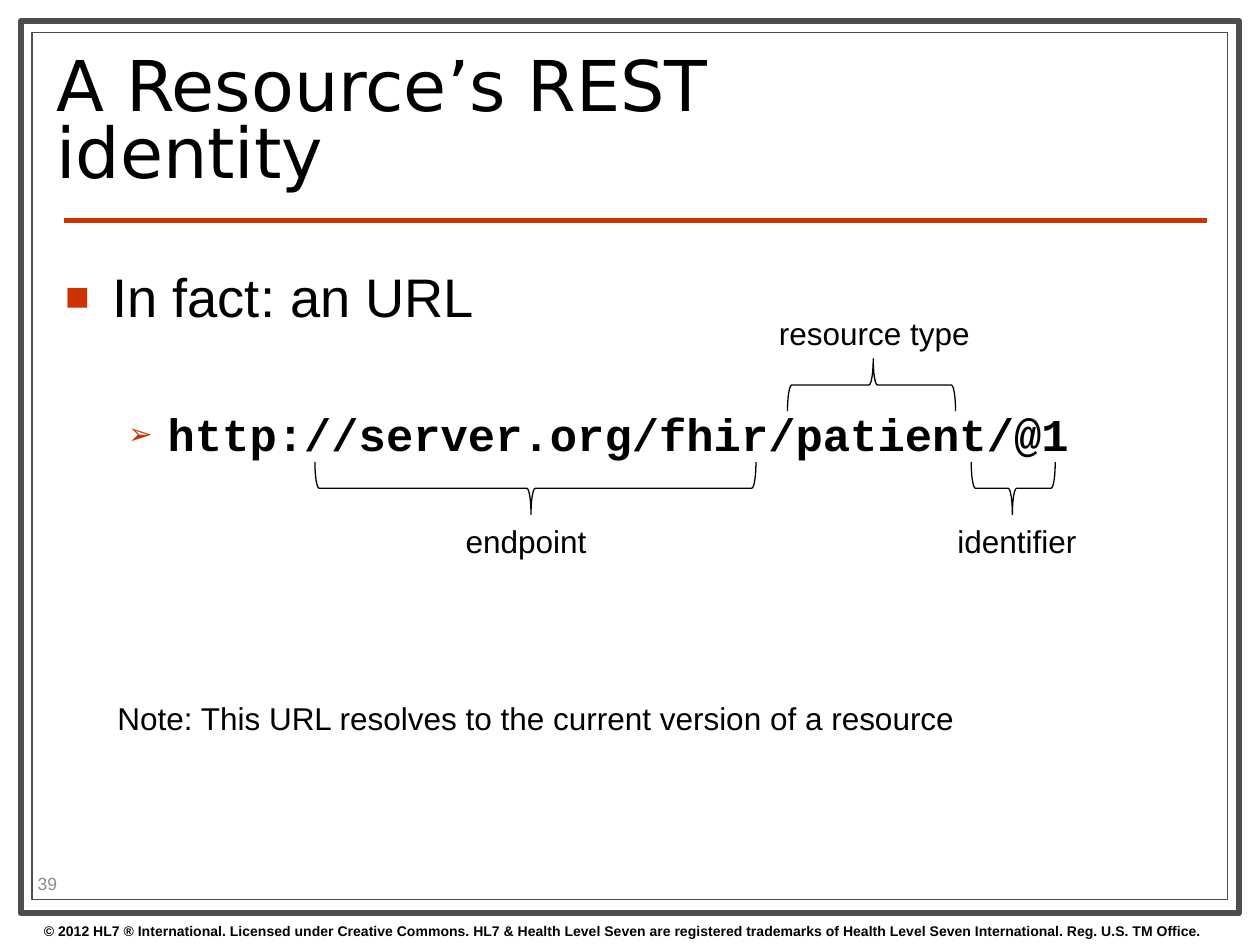
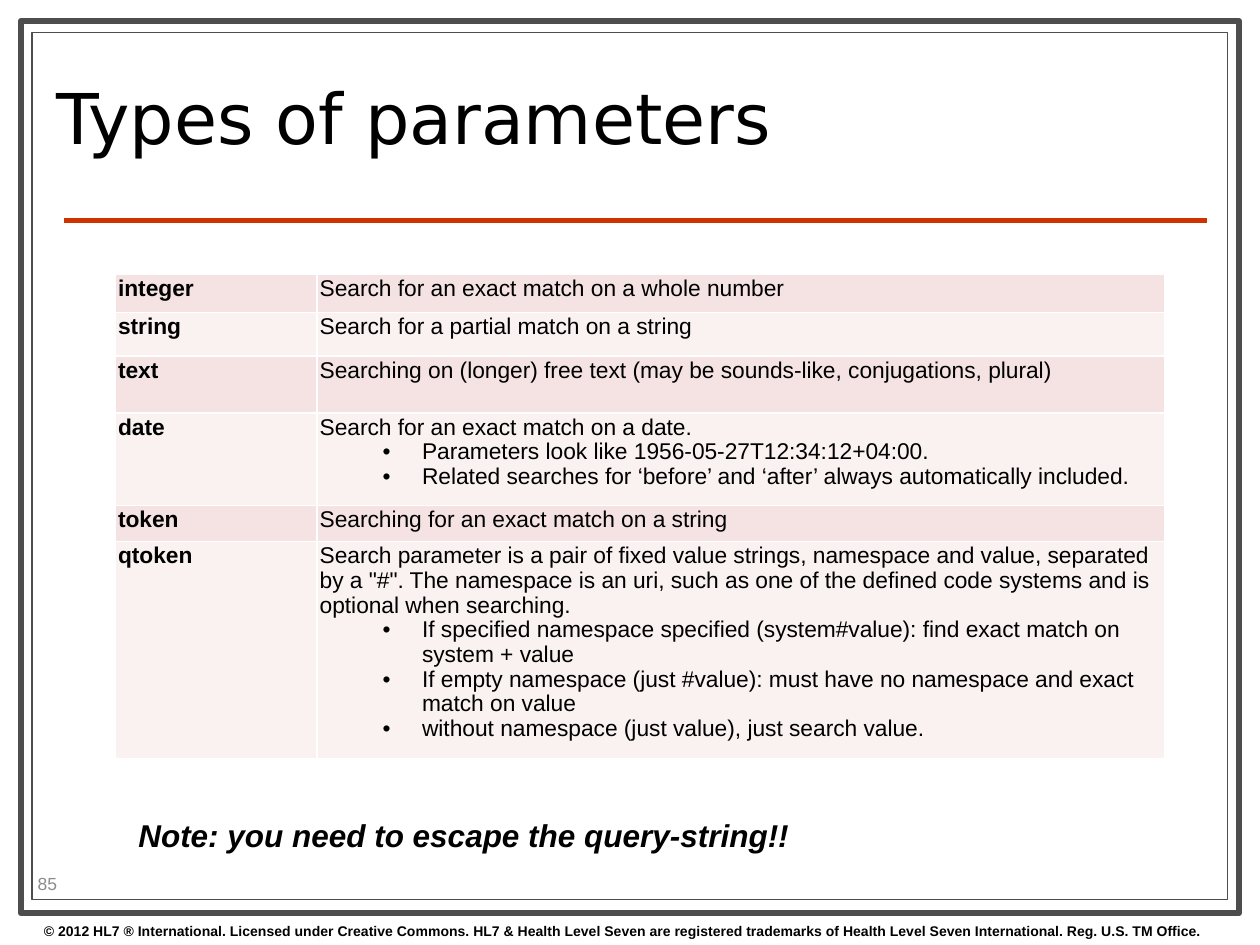
from lxml import etree
from pptx import Presentation as Deck
from pptx.dml.color import RGBColor as Rgb
from pptx.enum.shapes import MSO_CONNECTOR as Link, MSO_SHAPE as Shape
from pptx.enum.text import MSO_ANCHOR as Anchor
from pptx.oxml.ns import qn
from pptx.util import Pt

HUES = {
    "ink": "000000", "paper": "FFFFFF", "frame": "4D4D4D",
    "accent": "CC3300", "number": "8C8C8C",
    "dark": "F4E3E2", "light": "FAF1F1",
}
SANS, HEAD, MONO = "Arial", "DejaVu Sans", "Courier New"
LEGAL = (
    "© 2012 HL7 ® International. Licensed under Creative Commons. "
    "HL7 & Health Level Seven are registered trademarks of "
    "Health Level Seven International. Reg. U.S. TM Office."
)
# Row height, name, meaning, bulleted details
TYPES = [
    (22, "integer", "Search for an exact match on a whole number", []),
    (25, "string", "Search for a partial match on a string", []),
    (32.5, "text", "Searching on (longer) free text "
     "(may be sounds-like, conjugations, plural)", []),
    (53, "date", "Search for an exact match on a date.", [
        "Parameters look like 1956-05-27T12:34:12+04:00.",
        "Related searches for ‘before’ and ‘after’ always "
        "automatically included."]),
    (20.5, "token", "Searching for an exact match on a string", []),
    (74, "qtoken", "Search parameter is a pair of fixed value strings, "
     "namespace and value, separated by a \"#\". The namespace is an uri, "
     "such as one of the defined code systems and is optional when "
     "searching.", [
         "If specified namespace specified (system#value): "
         "find exact match on system + value",
         "If empty namespace (just #value): must have no namespace "
         "and exact match on value",
         "without namespace (just value), just search value."]),
]


def hue(name):
    return Rgb.from_string(HUES[name])


def style(para, size, face=SANS, color="ink", bold=False, slant=False):
    for run in para.runs:
        font = run.font
        font.size, font.name = Pt(size), face
        font.bold, font.italic = bold, slant
        font.color.rgb = hue(color)


def bullet(para, char, left, hang, color="ink", scale=100):
    props = para._p.get_or_add_pPr()
    props.set("marL", str(Pt(left)))
    props.set("indent", str(-Pt(hang)))
    tint = etree.SubElement(props, qn("a:buClr"))
    etree.SubElement(tint, qn("a:srgbClr"), val=HUES[color])
    etree.SubElement(props, qn("a:buSzPct"), val=str(scale * 1000))
    etree.SubElement(props, qn("a:buFont"), typeface=SANS)
    etree.SubElement(props, qn("a:buChar"), char=char)


def label(slide, text, left, top, width, height, size,
          wrap=False, anchor=Anchor.TOP, **look):
    box = slide.shapes.add_textbox(Pt(left), Pt(top), Pt(width), Pt(height))
    frame = box.text_frame
    frame.text = text
    frame.word_wrap, frame.vertical_anchor = wrap, anchor
    style(frame.paragraphs[0], size, **look)
    return frame


def border(slide, left, top, width, height, weight):
    box = slide.shapes.add_shape(
        Shape.RECTANGLE, Pt(left), Pt(top), Pt(width), Pt(height))
    box.shadow.inherit = False
    box.fill.solid()
    box.fill.fore_color.rgb = hue("paper")
    box.line.color.rgb = hue("frame")
    box.line.width = Pt(weight)


def rule(slide, left, right, top):
    line = slide.shapes.add_connector(
        Link.STRAIGHT, Pt(left), Pt(top), Pt(right), Pt(top))
    line.line.color.rgb = hue("accent")
    line.line.width = Pt(3)
    etree.SubElement(line._element.spPr, qn("a:effectLst"))


def brace(slide, mid, level, span, turn):
    """Lay a brace of the given span flat, centred on (mid, level)."""
    depth = 30
    mark = slide.shapes.add_shape(
        Shape.LEFT_BRACE, Pt(mid - depth / 2), Pt(level - span / 2),
        Pt(depth), Pt(span))
    mark.rotation = turn
    mark.adjustments[0], mark.adjustments[1] = 0.08, 0.49
    mark.shadow.inherit = False
    mark.fill.background()
    mark.line.color.rgb = hue("ink")
    mark.line.width = Pt(0.75)


def page(deck, title, number):
    """Add a slide with the shared frame, title, number and footer."""
    slide = deck.slides.add_slide(deck.slide_layouts[6])
    border(slide, 12, 12, 696, 510, 3.5)
    border(slide, 18.25, 18.5, 683.25, 495.5, 0.75)
    rule(slide, 36.5, 689.75, 126)
    label(slide, LEGAL, 18, 523.5, 720, 16.5, 8, wrap=True, bold=True)
    head = label(slide, title, 25.2, 26, 516, 90.5, 40, wrap=True,
                 anchor=Anchor.MIDDLE, face=HEAD)
    head.paragraphs[0].line_spacing = 0.8
    label(slide, number, 14.4, 496, 57, 17.5, 10, wrap=True,
          anchor=Anchor.MIDDLE, color="number")
    return slide


def fill(cell, lines, shade, bold=False):
    """Write a lead line and its bulleted details into a cell."""
    cell.margin_left = cell.margin_right = Pt(1.5)
    cell.margin_top = cell.margin_bottom = Pt(1.5)
    cell.fill.solid()
    cell.fill.fore_color.rgb = hue(shade)
    cell.text_frame.text = "\n".join(lines)
    for place, para in enumerate(cell.text_frame.paragraphs):
        if place:
            bullet(para, "•", 58.5, 22.5)
        para.line_spacing = 0.97
        style(para, 13, bold=bold)


def grid(slide, left, top, widths):
    high = sum(row[0] for row in TYPES)
    table = slide.shapes.add_table(
        len(TYPES), len(widths), Pt(left), Pt(top),
        Pt(sum(widths)), Pt(high)).table
    table.first_row = table.horz_banding = False
    for col, width in zip(table.columns, widths):
        col.width = Pt(width)
    for place, (height, name, lead, details) in enumerate(TYPES):
        shade = "light" if place % 2 else "dark"
        table.rows[place].height = Pt(height)
        fill(table.cell(place, 0), [name], shade, bold=True)
        fill(table.cell(place, 1), [lead, *details], shade)


def main():
    deck = Deck()
    deck.slide_width, deck.slide_height = Pt(720), Pt(540)

    # Parts of a resource URL
    slide = page(deck, "A Resource’s REST identity", "39")
    body = label(slide, "In fact: an URL", 30.2, 147, 660, 350, 31, wrap=True)
    bullet(body.paragraphs[0], "■", 27, 27, "accent", 75)
    link = body.add_paragraph()
    link.text = "http://server.org/fhir/patient/@1"
    link.level = 1
    bullet(link, "➢", 58.5, 22.5, "accent", 65)
    link.space_before = Pt(44.5)
    style(link, 26, face=MONO, bold=True)
    for mid, level, span, turn in [
            (306, 279, 252, 270), (498, 220, 96, 90), (579, 279, 48, 270)]:
        brace(slide, mid, level, span, turn)
    for text, left, top, width in [
            ("endpoint", 259, 295, 84), ("resource type", 438, 176, 124.5),
            ("identifier", 540, 295, 83.5),
            ("Note: This URL resolves to the current version of a resource",
             60, 396, 497.5)]:
        label(slide, text, left, top, width, 29, 18)

    # Search parameter types
    slide = page(deck, "Types of parameters", "85")
    grid(slide, 66, 156.5, [115.2, 484.6])
    label(slide, "Note: you need to escape the query-string!!",
          72, 463, 390, 29, 18, bold=True, slant=True)

    deck.save("out.pptx")


if __name__ == "__main__":
    main()
